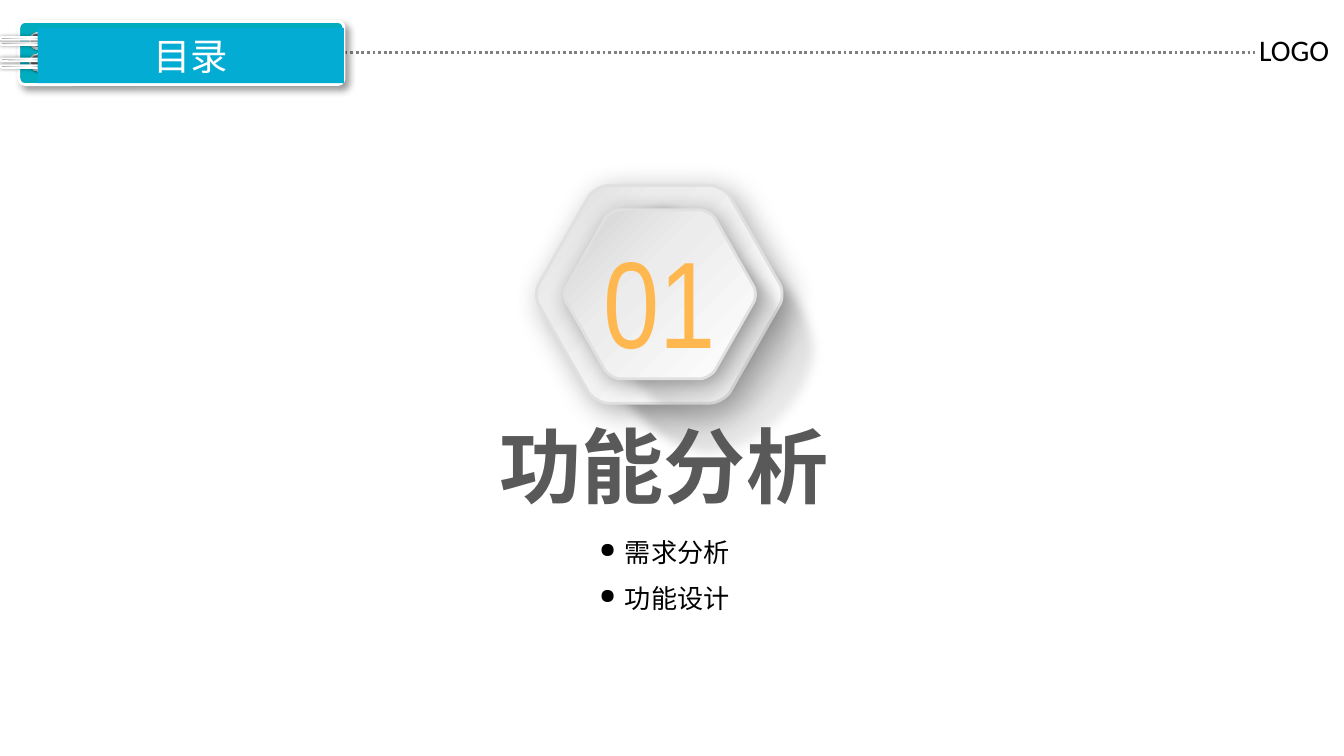
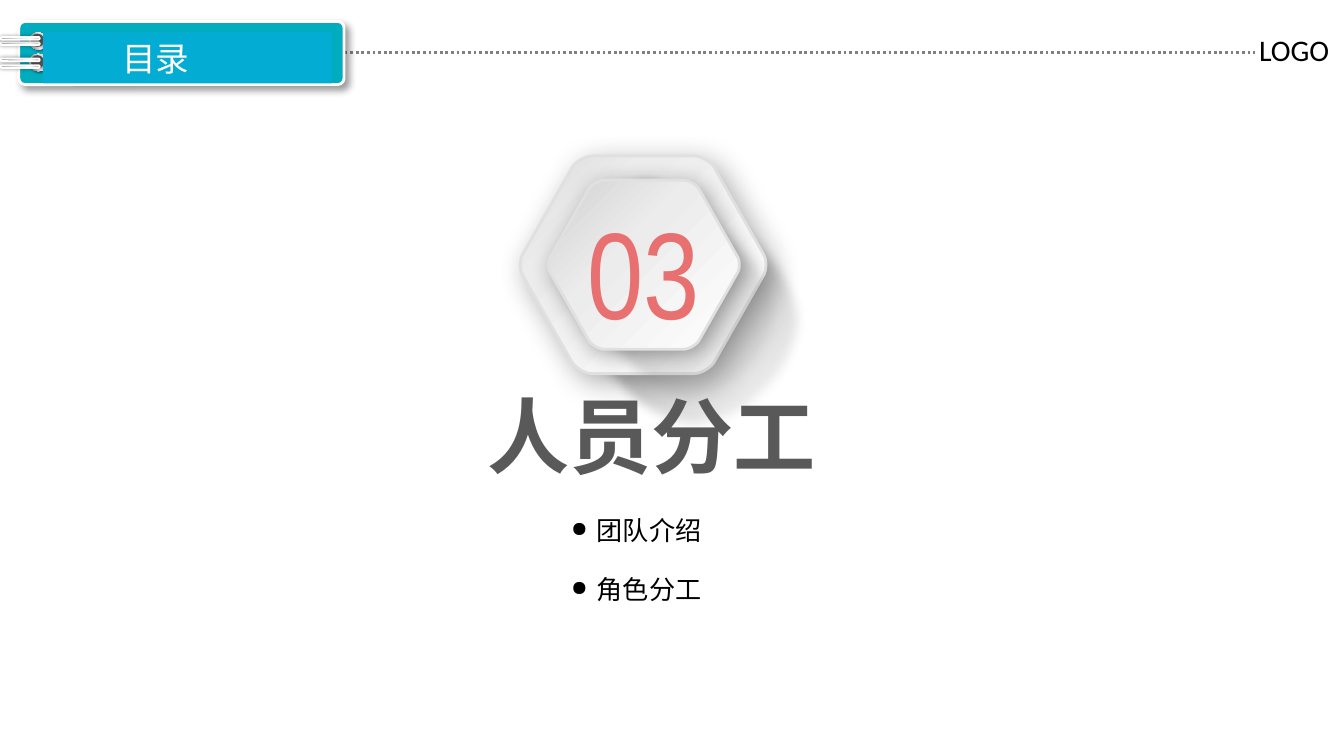
from dataclasses import dataclass

from lxml import etree
from pptx import Presentation
from pptx import util as u
from pptx.dml.color import RGBColor
from pptx.enum import dml, shapes, text
from pptx.oxml import ns

SECTIONS = [
    dict(number="01", accent="FFB850", title="功能分析", title_box=(3.62, 2.96),
         topics=["需求分析", "功能设计"], topics_at=(4.46, 3.99), topic_step=0.34,
         badge_at=(3.99, 1.38), heading_box=(0.28, 0.21, 2.28, 0.41),
         heading_size=20, heading_align=text.PP_ALIGN.CENTER, heading_inset=0.07),
    dict(number="03", accent="E87071", title="人员分工", title_box=(3.53, 3.04),
         topics=["团队介绍", "角色分工"], topics_at=(4.25, 3.83), topic_step=0.44,
         badge_at=(3.87, 1.16), heading_box=(0.32, 0.24, 2.15, 0.38),
         heading_size=18, heading_align=text.PP_ALIGN.LEFT, heading_inset=0.59),
]
HEADING = "目录"
CORNER_MARK = "LOGO"


@dataclass(frozen=True)
class Theme:
    band: str = "01ACBE"
    heading: str = "03ACD2"
    white: str = "FFFFFF"
    black: str = "000000"
    gray: str = "595959"
    rule: str = "808080"
    rim: str = "E0E0E0"
    cjk: str = "Noto Sans CJK SC"
    heading_font: str = "Noto Sans CJK JP"
    mark_font: str = "Calibri"
    number_font: str = "Arial Narrow"
    number_size: int = 66
    title_size: int = 44
    mark_size: int = 16
    topic_size: int = 14


T = Theme()
RING = ([(0, "FFFFFF"), (17, "A6A6A6"), (35, "F2F2F2"), (55, "A6A6A6"),
         (75, "F2F2F2"), (100, "A6A6A6")], 45)
ROD = ([(0, "808080"), (23, "A6A6A6"), (52, "D9D9D9"), (74, "FFFFFF"),
        (100, "A6A6A6")], 90)
BADGE_LAYERS = [
    dict(cast=(0.08, 0.23, 2.12, 1.66), cast_alpha=100, inset=(0, 0), scale=1,
         face=([(0, "FFFFFF"), (73, "ECECEC"), (100, "D9D9D9")], 45), shadow=(32, 16, 5, 45)),
    dict(cast=(0.17, 0.29, 1.87, 1.4), cast_alpha=66, inset=(0.21, 0.18), scale=0.777,
         face=([(0, "FFFFFF"), (60, "ECECEC"), (100, "D1D1D1")], 45), shadow=(33, 12, 3, 45)),
]
CAST_BLUR = 6
HEX_HALF = (0.915, 0.81)
SHOULDER = [(0.375, -0.81), (0.43, -0.81), (0.495, -0.77), (0.525, -0.73)]
TIP = [(0.895, -0.08), (0.92, -0.04), (0.92, 0.04), (0.895, 0.08)]
CURVE_STEPS = 8


def rgb(color):
    return RGBColor.from_string(color)


def inches(values):
    return [u.Inches(v) for v in values]


def add_xml(parent, tag, **attributes):
    return etree.SubElement(parent, ns.qn(tag), {k: str(v) for k, v in attributes.items()})


def add_color(parent, color, alpha=100):
    node = add_xml(parent, "a:srgbClr", val=color)
    if alpha < 100:
        add_xml(node, "a:alpha", val=alpha * 1000)


def effects_of(shape):
    return shape.element.spPr.find(ns.qn("a:effectLst"))


def paint(shape, fill, line=None, shadow=None):
    if isinstance(fill, str):
        shape.fill.solid()
        shape.fill.fore_color.rgb = rgb(fill)
    else:
        stops, angle = fill
        shape.fill.gradient()
        gradient = shape.element.spPr.find(ns.qn("a:gradFill"))
        for child in list(gradient):
            gradient.remove(child)
        gradient.set("rotWithShape", "1")
        stop_list = add_xml(gradient, "a:gsLst")
        for position, *color in stops:
            add_color(add_xml(stop_list, "a:gs", pos=position * 1000), *color)
        add_xml(gradient, "a:lin", ang=angle * 60000, scaled=0)
    if line:
        color, width = line
        shape.line.color.rgb = rgb(color)
        shape.line.width = u.Pt(width)
    else:
        shape.line.fill.background()
    shape.shadow.inherit = False
    if shadow:
        alpha, blur, distance, angle = shadow
        add_color(add_xml(effects_of(shape), "a:outerShdw", blurRad=u.Pt(blur),
                          dist=u.Pt(distance), dir=angle * 60000, algn="ctr",
                          rotWithShape=0), T.black, alpha)


def add_block(canvas, kind, box, fill, line=None, shadow=None, rotation=0, corner=None):
    block = canvas.add_shape(kind, *inches(box))
    block.rotation = rotation
    if corner is not None:
        block.adjustments[0] = corner
    paint(block, fill, line, shadow)
    return block


def write(shape, words, font, size, color, align=None, bold=None, margins=None, wrap=True):
    frame = shape.text_frame
    frame.word_wrap = wrap
    frame.auto_size = text.MSO_AUTO_SIZE.SHAPE_TO_FIT_TEXT
    if margins:
        (frame.margin_left, frame.margin_top,
         frame.margin_right, frame.margin_bottom) = inches(margins)
    paragraph = frame.paragraphs[0]
    paragraph.text = words
    paragraph.alignment = align
    style = paragraph.font
    style.name, style.size, style.bold = font, u.Pt(size), bold
    style.color.rgb = rgb(color)
    latin = paragraph._p.pPr.find(ns.qn("a:defRPr")).find(ns.qn("a:latin"))
    latin.addnext(etree.Element(ns.qn("a:ea"), typeface=font))
    return paragraph


def add_text(canvas, box, *args, **options):
    return write(canvas.add_textbox(*inches(box)), *args, **options)


def curve(points):
    for step in range(CURVE_STEPS + 1):
        t = step / CURVE_STEPS
        weights = ((1 - t) ** 3, 3 * t * (1 - t) ** 2, 3 * t * t * (1 - t), t ** 3)
        yield tuple(sum(w * p[axis] for w, p in zip(weights, points)) for axis in (0, 1))


def hexagon_outline():
    shoulder = list(curve(SHOULDER))
    right = shoulder + list(curve(TIP)) + [(x, -y) for x, y in reversed(shoulder)]
    return right + [(-x, -y) for x, y in right]


def add_header(slide):
    rule = slide.shapes.add_connector(shapes.MSO_CONNECTOR.STRAIGHT,
                                      *inches((2.48, 0.39, 9.34, 0.39)))
    rule.line.color.rgb = rgb(T.rule)
    rule.line.width = u.Pt(1.5)
    rule.line.dash_style = dml.MSO_LINE.ROUND_DOT
    add_xml(rule._element.spPr, "a:effectLst")

    binder = slide.shapes.add_group_shape().shapes
    rounded, oval = shapes.MSO_SHAPE.ROUNDED_RECTANGLE, shapes.MSO_SHAPE.OVAL
    add_block(binder, rounded, (0.14, 0.16, 2.42, 0.47), T.band,
              (T.white, 1.5), (40, 4, 3, 45), corner=0.1)
    for top in (0.4, 0.24):
        add_block(binder, oval, (0.22, top, 0.13, 0.13), RING, shadow=(40, 1, 1, 45), rotation=270)
        add_block(binder, oval, (0.23, top + 0.01, 0.1, 0.1), T.gray, rotation=270)
    for top in (0.35, 0.3, 0.18, 0.14):
        add_block(binder, rounded, (0.14, top, 0.02, 0.29), ROD,
                  (T.white, 1), (40, 2, 0, 0), rotation=270, corner=0.5)
    add_text(slide.shapes, (9.27, 0.19, 0.73, 0.37), CORNER_MARK,
             T.mark_font, T.mark_size, T.black, wrap=False)


def add_badge(slide, section):
    left, top = section["badge_at"]
    badge = slide.shapes.add_group_shape().shapes
    for layer in BADGE_LAYERS:
        dx, dy, width, height = layer["cast"]
        fade = ([(0, T.black, layer["cast_alpha"]), (100, "E8E8E8", 0)], 0)
        cast = add_block(badge, shapes.MSO_SHAPE.ROUNDED_RECTANGLE,
                         (left + dx, top + dy, width, height), fade, rotation=46, corner=0.476)
        add_xml(effects_of(cast), "a:softEdge", rad=u.Pt(CAST_BLUR))
        scale, (inset_x, inset_y) = layer["scale"], layer["inset"]
        center_x = left + inset_x + HEX_HALF[0] * scale
        center_y = top + inset_y + HEX_HALF[1] * scale
        points = [inches((center_x + x * scale, center_y + y * scale))
                  for x, y in hexagon_outline()]
        builder = badge.build_freeform(*points[0])
        builder.add_line_segments(points[1:], close=True)
        hexagon = builder.convert_to_shape()
        hexagon.rotation = 180
        paint(hexagon, layer["face"], (T.rim, 1.5), layer["shadow"])
    add_text(badge, (left - 0.06, top + 0.25, 1.96, 1.24), section["number"],
             T.number_font, T.number_size, section["accent"], text.PP_ALIGN.CENTER)


def add_heading(slide, section):
    tab = add_block(slide.shapes, shapes.MSO_SHAPE.RECTANGLE, section["heading_box"], T.heading)
    write(tab, HEADING, T.heading_font, section["heading_size"], T.white,
          section["heading_align"], margins=(section["heading_inset"], 0.04, 0.07, 0.04))


def add_topics(slide, section):
    left, top = section["topics_at"]
    for row, topic in enumerate(section["topics"]):
        paragraph = add_text(slide.shapes, (left, top + row * section["topic_step"], 1.28, 0.24),
                             topic, T.cjk, T.topic_size, T.black, margins=(0, 0, 0, 0))
        paragraph.level = 1
        properties = paragraph._p.pPr
        properties.set("marL", str(u.Inches(0.19)))
        properties.set("indent", str(u.Inches(-0.19)))
        properties.insert(0, etree.Element(ns.qn("a:buSzPct"), val="80000"))
        properties.insert(1, etree.Element(ns.qn("a:buChar"), char="●"))


def add_title(slide, section):
    left, width = section["title_box"]
    add_text(slide.shapes, (left, section["badge_at"][1] + 1.66, width, 0.84),
             section["title"], T.cjk, T.title_size, T.gray, bold=True)


def main():
    deck = Presentation()
    deck.slide_width = u.Inches(10)
    deck.slide_height = deck.slide_width * 9 // 16
    for section in SECTIONS:
        slide = deck.slides.add_slide(deck.slide_layouts[6])
        add_header(slide)
        add_badge(slide, section)
        add_heading(slide, section)
        add_topics(slide, section)
        add_title(slide, section)
    deck.save("out.pptx")


if __name__ == "__main__":
    main()
